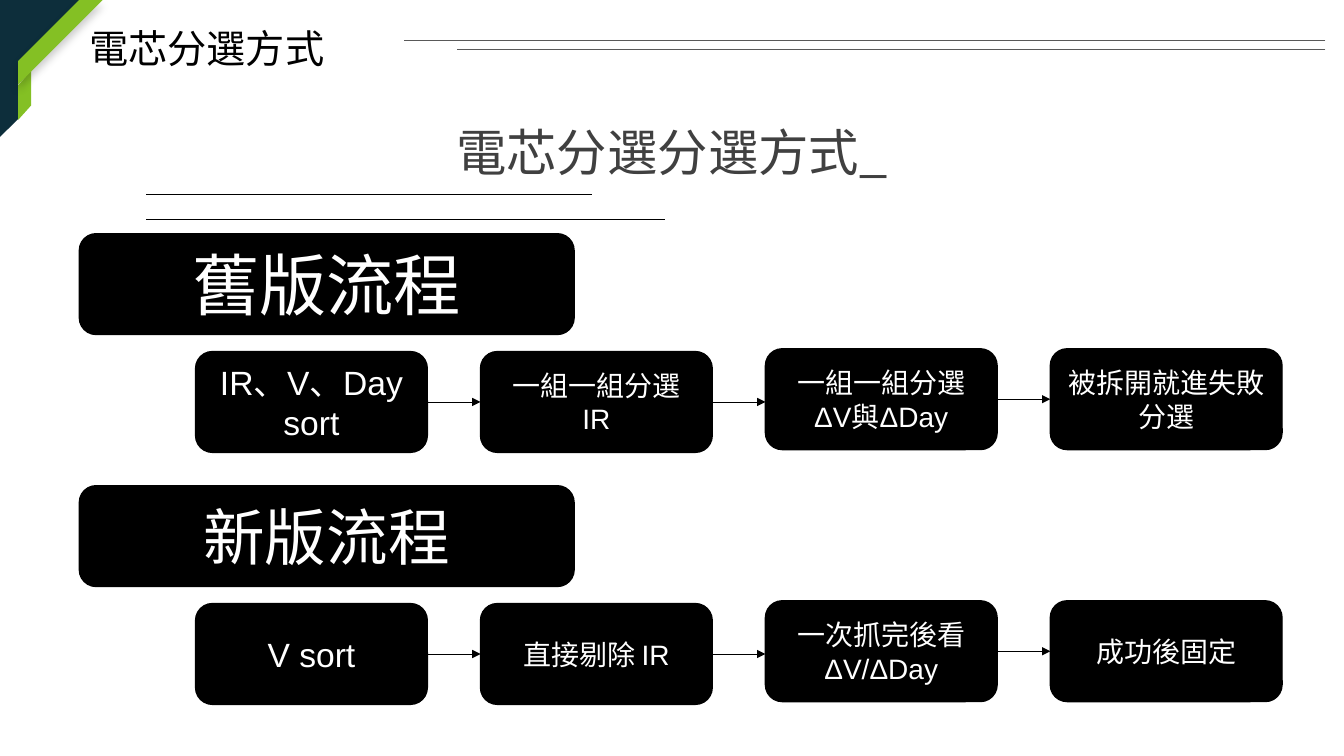
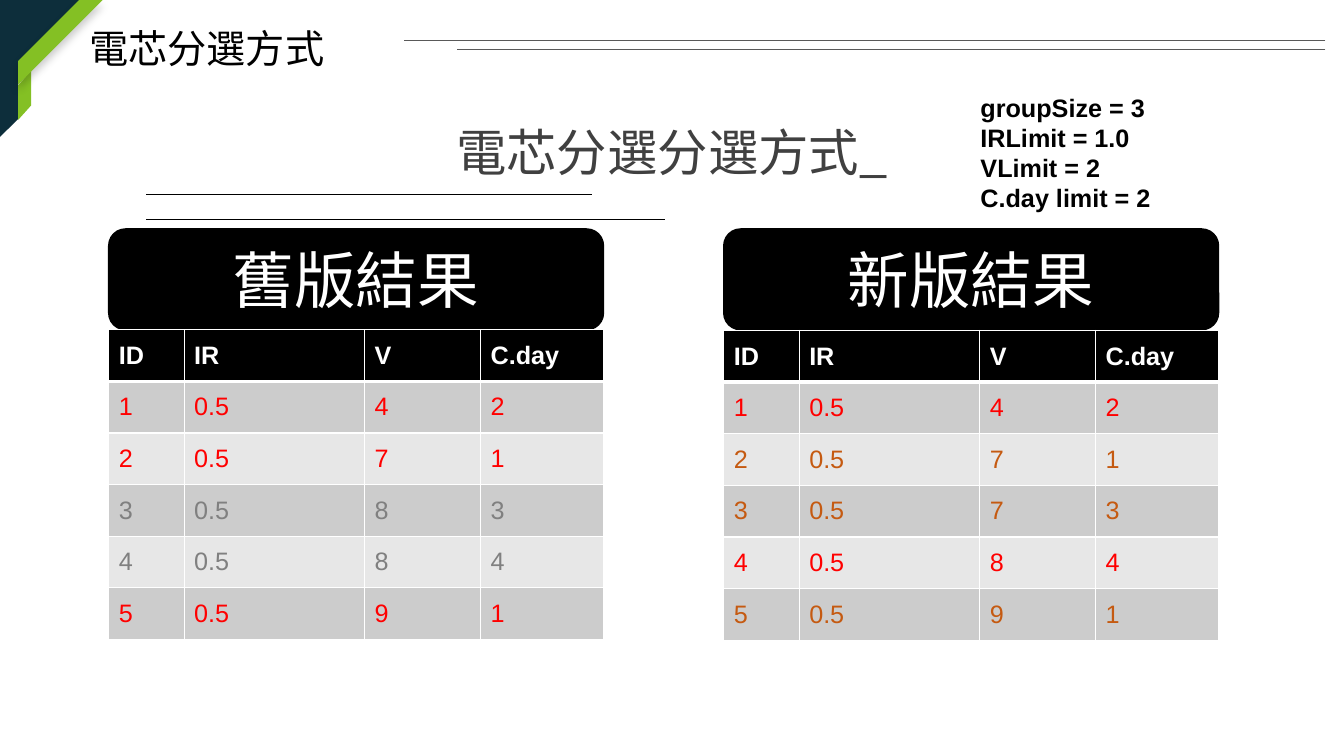
from lxml.etree import SubElement
from pptx import Presentation
from pptx.dml.color import RGBColor
from pptx.enum.shapes import MSO_CONNECTOR, MSO_SHAPE
from pptx.enum.text import MSO_ANCHOR, MSO_AUTO_SIZE, PP_ALIGN
from pptx.oxml.ns import qn
from pptx.util import Cm, Pt

BLACK = RGBColor(0x00, 0x00, 0x00)
WHITE = RGBColor(0xFF, 0xFF, 0xFF)
NAVY = RGBColor(0x0D, 0x2E, 0x3B)
GREEN = RGBColor(0x84, 0xC0, 0x24)
RULE_GREY = RGBColor(0x59, 0x59, 0x59)
HEADING_GREY = RGBColor(0x40, 0x40, 0x40)
BAND_DARK = RGBColor(0xCC, 0xCC, 0xCC)
BAND_LIGHT = RGBColor(0xE7, 0xE7, 0xE7)
RED = RGBColor(0xFF, 0x00, 0x00)
GREY = RGBColor(0x80, 0x80, 0x80)
ORANGE = RGBColor(0xC5, 0x5A, 0x11)

LATIN_FONT = "Arial"
HEADING_FONT = "Noto Sans CJK SC"

BOX_HEIGHT = 2.54
BANNER_WIDTH = 12.47
STEP_WIDTH, STEP_PITCH, STEP_LEFT = 5.84, 7.18, 4.93
STEP_DROPS = [2.97, 2.97, 2.9, 2.9]
ROW_HEIGHT = 1.3
COLUMN_WIDTHS = [1.9, 4.55, 2.92, 3.1]
TABLE_HEADER = ["ID", "IR", "V", "C.day"]

FLOWS = [
    (5.89, "舊版流程", 48, [["IR、V、Day sort"], ["一組一組分選", "IR"],
                        ["一組一組分選", "ΔV與ΔDay"], ["被拆開就進失敗分選"]]),
    (12.24, "新版流程", 44, [["V sort"], ["直接剔除 IR"],
                         ["一次抓完後看 ΔV/ΔDay"], ["成功後固定"]]),
]
RESULTS = [
    (2.74, 8.31, "舊版結果", [
        (RED, ["1", "0.5", "4", "2"]),
        (RED, ["2", "0.5", "7", "1"]),
        (GREY, ["3", "0.5", "8", "3"]),
        (GREY, ["4", "0.5", "8", "4"]),
        (RED, ["5", "0.5", "9", "1"]),
    ]),
    (18.24, 8.33, "新版結果", [
        (RED, ["1", "0.5", "4", "2"]),
        (ORANGE, ["2", "0.5", "7", "1"]),
        (ORANGE, ["3", "0.5", "7", "3"]),
        (RED, ["4", "0.5", "8", "4"]),
        (ORANGE, ["5", "0.5", "9", "1"]),
    ]),
]
LIMITS = ["groupSize = 3", "IRLimit = 1.0", "VLimit = 2", "C.day limit = 2"]


def apply_format(target, values):
    """Set every attribute named in a dict of format values."""
    for name, value in values.items():
        setattr(target, name, value)


def write_text(text_frame, lines, size, color, alignment=None, name=LATIN_FONT, bold=False):
    """Write one formatted paragraph for each line."""
    for index, line in enumerate(lines):
        paragraph = text_frame.add_paragraph() if index else text_frame.paragraphs[0]
        paragraph.alignment = alignment
        run = paragraph.add_run()
        run.text = line
        apply_format(run.font, {"size": Pt(size), "name": name, "bold": bold})
        run.font.color.rgb = color


def paint(shape, color, line_width=None):
    """Give a shape a plain fill, an optional outline and no shadow."""
    shape.shadow.inherit = False
    shape.fill.solid()
    shape.fill.fore_color.rgb = color
    if line_width is None:
        shape.line.fill.background()
    else:
        shape.line.color.rgb = color
        shape.line.width = Pt(line_width)


def add_line(slide, start, end, color=BLACK, width=0.5, arrow=False):
    """Draw a straight line between two points in centimetres."""
    connector = slide.shapes.add_connector(
        MSO_CONNECTOR.STRAIGHT, *(Cm(value) for value in (*start, *end)))
    connector.line.color.rgb = color
    connector.line.width = Pt(width)
    properties = connector.element.spPr
    if arrow:
        SubElement(properties.find(qn("a:ln")), qn("a:tailEnd"), type="triangle")
    SubElement(properties, qn("a:effectLst"))
    return connector


def add_box(slide, left, top, width, lines, size):
    """Draw a black rounded box with white centred text."""
    box = slide.shapes.add_shape(
        MSO_SHAPE.ROUNDED_RECTANGLE, Cm(left), Cm(top), Cm(width), Cm(BOX_HEIGHT))
    paint(box, BLACK, 1)
    apply_format(box.text_frame, {"word_wrap": True, "vertical_anchor": MSO_ANCHOR.MIDDLE})
    write_text(box.text_frame, lines, size, WHITE, PP_ALIGN.CENTER)


def add_soft_shadow(shape):
    """Put a faint shadow below a painted shape."""
    effects = shape.element.spPr.find(qn("a:effectLst"))
    shadow = SubElement(effects, qn("a:outerShdw"), blurRad=str(Pt(6)),
                        dist=str(Pt(4)), dir="5400000", rotWithShape="0")
    color = SubElement(shadow, qn("a:srgbClr"), val=str(BLACK))
    SubElement(color, qn("a:alpha"), val="20000")


def decorate_layout(layout, slide):
    """Draw the corner ribbon and header rules, then move them to the layout."""
    builder = slide.shapes.build_freeform(0, 0)
    outline = [(2.08, 0), (0.46, 1.63), (0.46, 3), (0, 3.45)]
    builder.add_line_segments([(Cm(x), Cm(y)) for x, y in outline])
    corner = builder.convert_to_shape()
    paint(corner, NAVY)

    fold = slide.shapes.add_shape(
        MSO_SHAPE.PARALLELOGRAM, Cm(0), Cm(2.24), Cm(1.24), Cm(0.33))
    fold.adjustments[0] = 1.11
    fold.rotation = 270
    fold.element.spPr.find(qn("a:xfrm")).set("flipH", "1")
    paint(fold, GREEN)

    stripe = slide.shapes.add_shape(
        MSO_SHAPE.DIAGONAL_STRIPE, Cm(0.46), Cm(0), Cm(2.13), Cm(2.13))
    stripe.adjustments[0] = 0.72
    paint(stripe, GREEN)
    add_soft_shadow(stripe)

    rules = [add_line(slide, (33.4, y), (x, y), RULE_GREY, 0.75)
             for x, y in [(11.51, 1.24), (10.19, 1.02)]]
    for shape in [corner, fold, stripe, *rules]:
        layout.shapes.element.append(shape.element)


def add_headings(slide):
    """Fill the title and add the underlined heading."""
    title = slide.shapes.title
    apply_format(title, {"left": Cm(2), "top": Cm(0.48), "width": Cm(7.49), "height": Cm(1.45)})
    apply_format(title.text_frame, {"word_wrap": True, "vertical_anchor": MSO_ANCHOR.TOP,
                                    "auto_size": MSO_AUTO_SIZE.NONE})
    write_text(title.text_frame, ["電芯分選方式"], 28, BLACK, PP_ALIGN.JUSTIFY)

    heading = slide.shapes.add_textbox(Cm(6.86), Cm(2.92), Cm(20.14), Cm(1.85))
    heading.text_frame.word_wrap = False
    write_text(heading.text_frame, ["電芯分選分選方式_"], 36, HEADING_GREY,
               PP_ALIGN.CENTER, HEADING_FONT)
    for right, y in [(16.76, 5.54), (14.91, 4.9)]:
        add_line(slide, (3.68, y), (right, y))


def add_flow(slide, top, name, name_size, steps):
    """Draw a banner and its row of steps joined by arrows."""
    add_box(slide, 2, top, BANNER_WIDTH, [name], name_size)
    for index, (lines, drop) in enumerate(zip(steps, STEP_DROPS)):
        left = STEP_LEFT + index * STEP_PITCH
        add_box(slide, left, top + drop, STEP_WIDTH, lines, 20 if index else 24)
        if index < len(steps) - 1:
            middle = top + drop + BOX_HEIGHT / 2
            add_line(slide, (left + STEP_WIDTH, middle), (left + STEP_PITCH, middle), arrow=True)


def set_borders(cell, row):
    """Give a cell white borders, with a thick one under the header."""
    widths = {"lnL": 1, "lnR": 1, "lnT": 3 if row == 1 else 1, "lnB": 1 if row else 3}
    properties = cell._tc.get_or_add_tcPr()
    for position, (side, width) in enumerate(widths.items()):
        border = SubElement(properties, qn(f"a:{side}"), w=str(Pt(width)))
        fill = SubElement(border, qn("a:solidFill"))
        SubElement(fill, qn("a:srgbClr"), val=str(WHITE))
        properties.insert(position, border)


def add_result_table(slide, left, top, records):
    """Draw a result table with one text colour for each record."""
    rows = [(WHITE, TABLE_HEADER), *records]
    table = slide.shapes.add_table(
        len(rows), len(TABLE_HEADER), Cm(left), Cm(top),
        Cm(sum(COLUMN_WIDTHS)), Cm(ROW_HEIGHT * len(rows))).table
    table.horz_banding = False
    for column, width in zip(table.columns, COLUMN_WIDTHS):
        column.width = Cm(width)
    for row, (color, values) in enumerate(rows):
        table.rows[row].height = Cm(ROW_HEIGHT)
        band = (BAND_DARK if row % 2 else BAND_LIGHT) if row else BLACK
        for column, value in enumerate(values):
            cell = table.cell(row, column)
            cell.vertical_anchor = MSO_ANCHOR.MIDDLE
            cell.fill.solid()
            cell.fill.fore_color.rgb = band
            set_borders(cell, row)
            write_text(cell.text_frame, [value], 18, color, bold=row == 0)


def add_limits(slide):
    """List the sorting limits at the top right."""
    limits = slide.shapes.add_textbox(Cm(24.46), Cm(2.18), Cm(8.43), Cm(3.33))
    apply_format(limits.text_frame, {"word_wrap": True, "vertical_anchor": MSO_ANCHOR.MIDDLE})
    write_text(limits.text_frame, LIMITS, 18, BLACK, bold=True)


def main():
    """Build and save the presentation."""
    presentation = Presentation()
    apply_format(presentation, {"slide_width": Cm(33.87), "slide_height": Cm(19.05)})
    layout = presentation.slide_layouts.get_by_name("Title Only")
    flow_slide, result_slide = (presentation.slides.add_slide(layout) for _ in range(2))
    decorate_layout(layout, flow_slide)
    for slide in (flow_slide, result_slide):
        add_headings(slide)

    for top, name, name_size, steps in FLOWS:
        add_flow(flow_slide, top, name, name_size, steps)

    for left, table_top, name, records in RESULTS:
        add_box(result_slide, left, 5.77, BANNER_WIDTH, [name], 44)
        add_result_table(result_slide, left, table_top, records)
    add_limits(result_slide)
    presentation.save("out.pptx")


if __name__ == "__main__":
    main()
